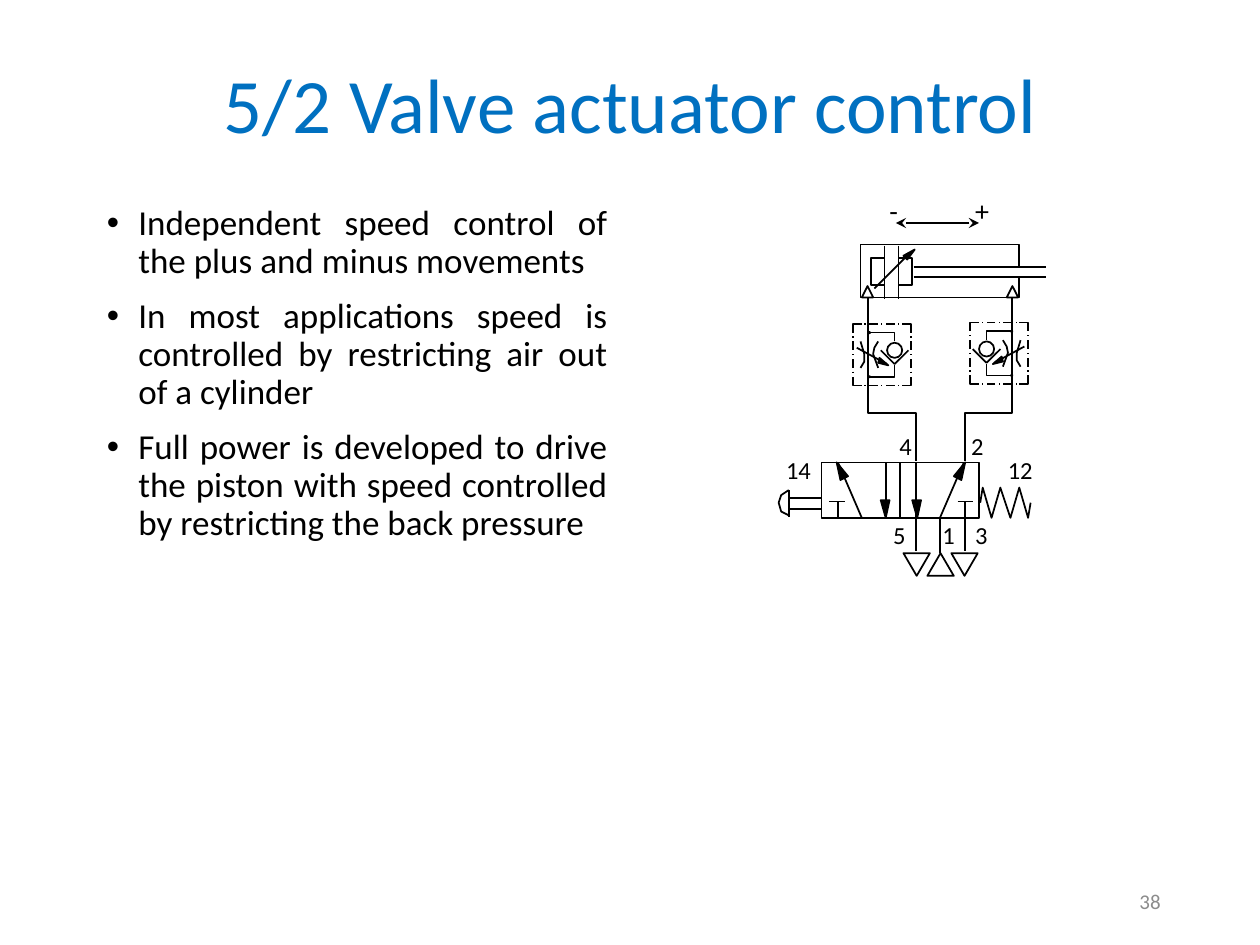
from lxml.etree import SubElement
from pptx import Presentation
from pptx.dml.color import RGBColor
from pptx.enum.shapes import MSO_CONNECTOR, MSO_SHAPE
from pptx.enum.text import MSO_ANCHOR, MSO_AUTO_SIZE, PP_ALIGN
from pptx.oxml.ns import qn
from pptx.util import Cm, Pt

THEME = {
    "font": "Calibri",
    "title": RGBColor(0x00, 0x70, 0xC0),
    "ink": RGBColor(0, 0, 0),
    "muted": RGBColor(0x8C, 0x8C, 0x8C),
    "title_size": Pt(44), "body_size": Pt(20), "sign_size": Pt(16),
    "port_size": Pt(14), "number_size": Pt(12),
    "line": Pt(1),
}

# All positions below are in inches and become Cm in length().
TITLE = "5/2 Valve actuator control"
BULLETS = [
    "Independent speed control of the plus and minus movements",
    "In most applications speed is controlled by restricting air out of a cylinder",
    "Full power is developed to drive the piston with speed controlled "
    "by restricting the back pressure",
]
PAGE_NUMBER = "38"

PORT_LABELS = [("1", 7.38, 4.08), ("2", 7.61, 3.37), ("4", 7.04, 3.37), ("5", 6.99, 4.08),
               ("3", 7.64, 4.08), ("14", 6.14, 3.56), ("12", 7.9, 3.56)]
LABEL_WIDTHS = {1: 0.31, 2: 0.42}
SIGNS = [("+", 7.64, 0.33), ("-", 6.96, 0.28)]

CYLINDER_LINES = [
    (7.25, 2.12, 8.3, 2.12), (7.25, 2.2, 8.3, 2.2),      # piston rod
    (7.02, 1.95, 7.02, 2.37), (7.13, 1.95, 7.13, 2.37),  # piston
    (6.89, 2.37, 6.89, 2.5), (8.03, 2.37, 8.03, 2.5),    # air connections
    (6.94, 2.29, 7.23, 2),                               # adjustable cushioning
]
VALVE_LINES = [
    (7.03, 3.67, 7.03, 4.11), (7.27, 3.67, 7.27, 4.11),  # straight flow
    (6.84, 4.11, 6.65, 3.67), (7.46, 4.11, 7.65, 3.67),  # crossing flow
    (6.65, 3.98, 6.65, 4.11), (6.58, 3.98, 6.71, 3.98),  # closed ports
    (7.66, 3.98, 7.66, 4.11), (7.6, 3.98, 7.72, 3.98),
    (7.27, 4.11, 7.27, 4.37), (7.46, 4.11, 7.46, 4.39), (7.66, 4.11, 7.66, 4.37),
    (6.26, 3.89, 6.26, 4.1), (6.26, 3.95, 6.52, 3.95), (6.26, 4.04, 6.52, 4.04),
]
SPRING = [(8.18, 3.99), (8.16, 4.11), (8.09, 3.87), (8.02, 4.11),
          (7.94, 3.87), (7.87, 4.11), (7.8, 3.87), (7.78, 3.99)]
OUTLINES = [
    [(8.09, 2.11), (8.09, 1.94), (6.83, 1.94), (6.83, 2.36), (8.09, 2.36), (8.09, 2.2)],
    [(7.13, 2.05), (7.24, 2.05), (7.24, 2.26), (7.13, 2.26)],
    [(7.02, 2.05), (6.91, 2.05), (6.91, 2.26), (7.02, 2.26)],
    SPRING,
    [(6.26, 3.89), (6.2, 3.93), (6.18, 3.99), (6.2, 4.06), (6.26, 4.09)],  # push button
    [(6.89, 2.36), (6.89, 3.28), (7.27, 3.28), (7.27, 3.66)],              # pipes
    [(7.66, 3.66), (7.66, 3.28), (8.03, 3.28), (8.03, 2.36)],
]
ARROWHEADS = [
    [(7.17, 2.03), (7.2, 2.06), (7.26, 1.98)],
    [(7.03, 4.11), (6.99, 3.97), (7.06, 3.97)],
    [(7.28, 4.11), (7.24, 3.97), (7.31, 3.97)],
    [(6.64, 3.67), (6.67, 3.81), (6.73, 3.78)],
    [(7.66, 3.67), (7.63, 3.81), (7.57, 3.78)],
]
CUSHION_PORTS = [(6.84, 2.27), (7.99, 2.27)]
VALVE_PORTS = [(7.17, 180), (7.36, 0), (7.55, 180)]

# Speed regulators mirror each other: outer edge, top, direction inwards.
REGULATORS = [(6.77, 2.57, 1), (8.16, 2.56, -1)]
REGULATOR_WIDTH, REGULATOR_HEIGHT, CORNER = 0.46, 0.49, 0.07
REGULATOR_OUTLINES = [
    [(0.33, 0.33), (0.33, 0.42), (0.13, 0.42)],
    [(0.33, 0.14), (0.33, 0.07), (0.13, 0.07)],
    [(0.2, 0.35), (0.16, 0.24), (0.17, 0.19), (0.2, 0.14)],
    [(0.06, 0.14), (0.09, 0.24), (0.09, 0.27), (0.09, 0.3), (0.06, 0.35)],
    [(0.22, 0.21), (0.33, 0.32), (0.44, 0.21)],
]
REGULATOR_ARROW = [(0.28, 0.33), (0.2, 0.31), (0.21, 0.27)]


def length(inches):
    return Cm(inches * 2.54)


def ink_line(line):
    line.color.rgb = THEME["ink"]
    line.width = THEME["line"]


def draw_line(slide, x1, y1, x2, y2):
    line = slide.shapes.add_connector(MSO_CONNECTOR.STRAIGHT, *map(length, (x1, y1, x2, y2)))
    ink_line(line.line)
    SubElement(line._element.spPr, qn("a:effectLst"))
    return line


def finish(shape, filled):
    shape.shadow.inherit = False
    ink_line(shape.line)
    if filled:
        shape.fill.solid()
        shape.fill.fore_color.rgb = THEME["ink"]
    else:
        shape.fill.background()
    return shape


def draw_outline(slide, points, filled=False):
    start, *rest = [(length(x), length(y)) for x, y in points]
    builder = slide.shapes.build_freeform(*start, scale=1.0)
    builder.add_line_segments(rest, close=filled)
    finish(builder.convert_to_shape(), filled)


def draw_shape(slide, preset, x, y, width, height, filled=False):
    return finish(slide.shapes.add_shape(preset, *map(length, (x, y, width, height))), filled)


def style(paragraph, size, color, alignment=PP_ALIGN.LEFT):
    paragraph.alignment = alignment
    paragraph.font.name = THEME["font"]
    paragraph.font.size = size
    paragraph.font.color.rgb = color


def add_text_box(slide, x, y, width, height):
    return slide.shapes.add_textbox(*map(length, (x, y, width, height))).text_frame


def add_label(slide, text, x, y, width, height, size):
    frame = add_text_box(slide, x, y, width, height)
    frame.word_wrap = False
    frame.auto_size = MSO_AUTO_SIZE.SHAPE_TO_FIT_TEXT
    frame.text = text
    style(frame.paragraphs[0], size, THEME["ink"])


def add_texts(slide):
    title = slide.shapes.title
    title.left, title.top, title.width, title.height = map(length, (1.27, 0.46, 7.47, 0.81))
    title.text_frame.text = TITLE
    title.text_frame.vertical_anchor = MSO_ANCHOR.MIDDLE
    heading = title.text_frame.paragraphs[0]
    heading.line_spacing = 0.9
    style(heading, THEME["title_size"], THEME["title"], PP_ALIGN.CENTER)

    body = add_text_box(slide, 0.75, 1.58, 4.17, 4.92)
    body.word_wrap = True
    body.text = "\n".join(BULLETS)
    for index, point in enumerate(body.paragraphs):
        properties = point._p.get_or_add_pPr()
        properties.set("marL", str(length(0.25)))
        properties.set("indent", str(-length(0.25)))
        SubElement(properties, qn("a:buFont")).set("typeface", "Arial")
        SubElement(properties, qn("a:buChar")).set("char", "•")
        point.line_spacing = 0.9
        point.space_before = Pt(10 if index else 0)
        style(point, THEME["body_size"], THEME["ink"], PP_ALIGN.JUSTIFY)

    number = add_text_box(slide, 7.06, 6.95, 2.25, 0.4)
    number.word_wrap = True
    number.vertical_anchor = MSO_ANCHOR.MIDDLE
    number.text = PAGE_NUMBER
    style(number.paragraphs[0], THEME["number_size"], THEME["muted"], PP_ALIGN.RIGHT)


def draw_regulator(slide, edge, top, inward):
    def place(points):
        return [(edge + inward * u, top + v) for u, v in points]

    def segment(start, end):
        (x1, y1), (x2, y2) = place([start, end])
        draw_line(slide, x1, y1, x2, y2)

    def circle(u, v, size):
        [(x, y)] = place([(u, v)])
        draw_shape(slide, MSO_SHAPE.OVAL, x - size / 2, y - size / 2, size, size, size < 0.05)

    for points in REGULATOR_OUTLINES:
        draw_outline(slide, place(points))
    segment((0.03, 0.19), (0.27, 0.32))
    draw_outline(slide, place(REGULATOR_ARROW), filled=True)
    circle(0.33, 0.21, 0.12)
    for v in (0.07, 0.42):
        circle(0.13, v, 0.01)

    # Dash-dot frame: corners, then dots and dashes at an even pitch.
    for u, du in ((0, CORNER), (REGULATOR_WIDTH, -CORNER)):
        for v, dv in ((0, CORNER), (REGULATOR_HEIGHT, -CORNER)):
            draw_outline(slide, place([(u + du, v), (u, v), (u, v + dv)]))
    marks = [(0, 0.01), (0.04, 0.11), (0.14, 0.15), (0.18, 0.25), (0.28, 0.29)]
    for start, end in marks:
        for v in (0, REGULATOR_HEIGHT):
            segment((0.09 + start * 0.96, v), (0.09 + end * 0.96, v))
        for u in (0, REGULATOR_WIDTH):
            segment((u, 0.1 + start), (u, 0.1 + end))


def draw_circuit(slide):
    valve = draw_shape(slide, MSO_SHAPE.RECTANGLE, 6.52, 3.67, 1.25, 0.44)
    divider = draw_line(slide, 7.15, 3.67, 7.15, 4.11)
    divider.begin_connect(valve, 0)
    divider.end_connect(valve, 2)
    for ends in CYLINDER_LINES + VALVE_LINES:
        draw_line(slide, *ends)
    for points in OUTLINES:
        draw_outline(slide, points)
    for points in ARROWHEADS:
        draw_outline(slide, points, filled=True)
    for x, y in CUSHION_PORTS:
        draw_shape(slide, MSO_SHAPE.ISOSCELES_TRIANGLE, x, y, 0.09, 0.09)
    for x, turn in VALVE_PORTS:
        draw_shape(slide, MSO_SHAPE.ISOSCELES_TRIANGLE, x, 4.39, 0.21, 0.18).rotation = turn
    for regulator in REGULATORS:
        draw_regulator(slide, *regulator)

    travel = draw_line(slide, 7.77, 1.77, 7.11, 1.77)
    for end in ("a:headEnd", "a:tailEnd"):
        SubElement(travel.line._get_or_add_ln(), qn(end)).set("type", "stealth")
    for text, x, y in PORT_LABELS:
        add_label(slide, text, x, y, LABEL_WIDTHS[len(text)], 0.33, THEME["port_size"])
    for text, x, width in SIGNS:
        add_label(slide, text, x, 1.49, width, 0.37, THEME["sign_size"])


def main():
    deck = Presentation()
    deck.slide_width, deck.slide_height = Cm(25.4), Cm(19.05)
    slide = deck.slides.add_slide(deck.slide_layouts[5])
    add_texts(slide)
    draw_circuit(slide)
    deck.save("out.pptx")


if __name__ == "__main__":
    main()
